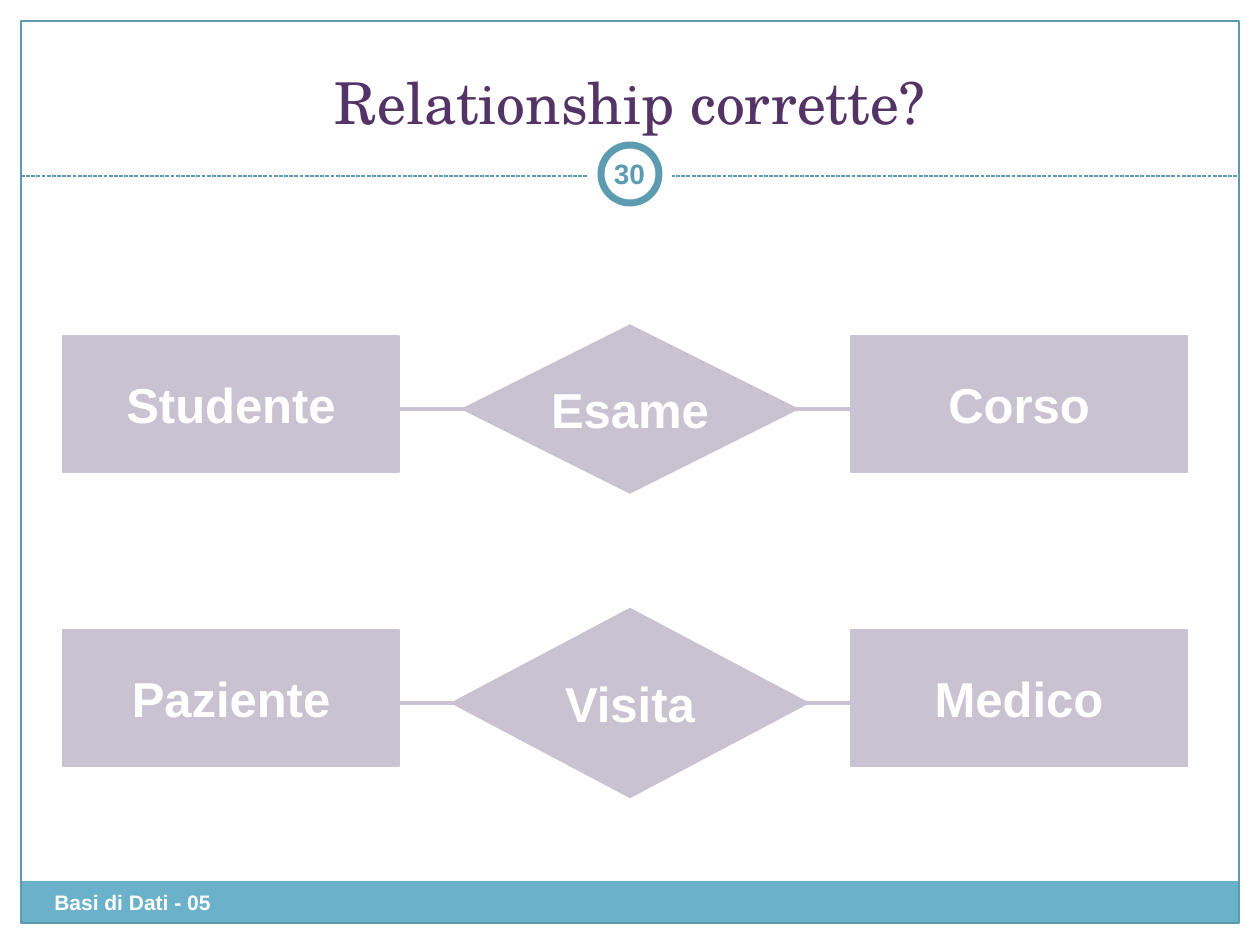
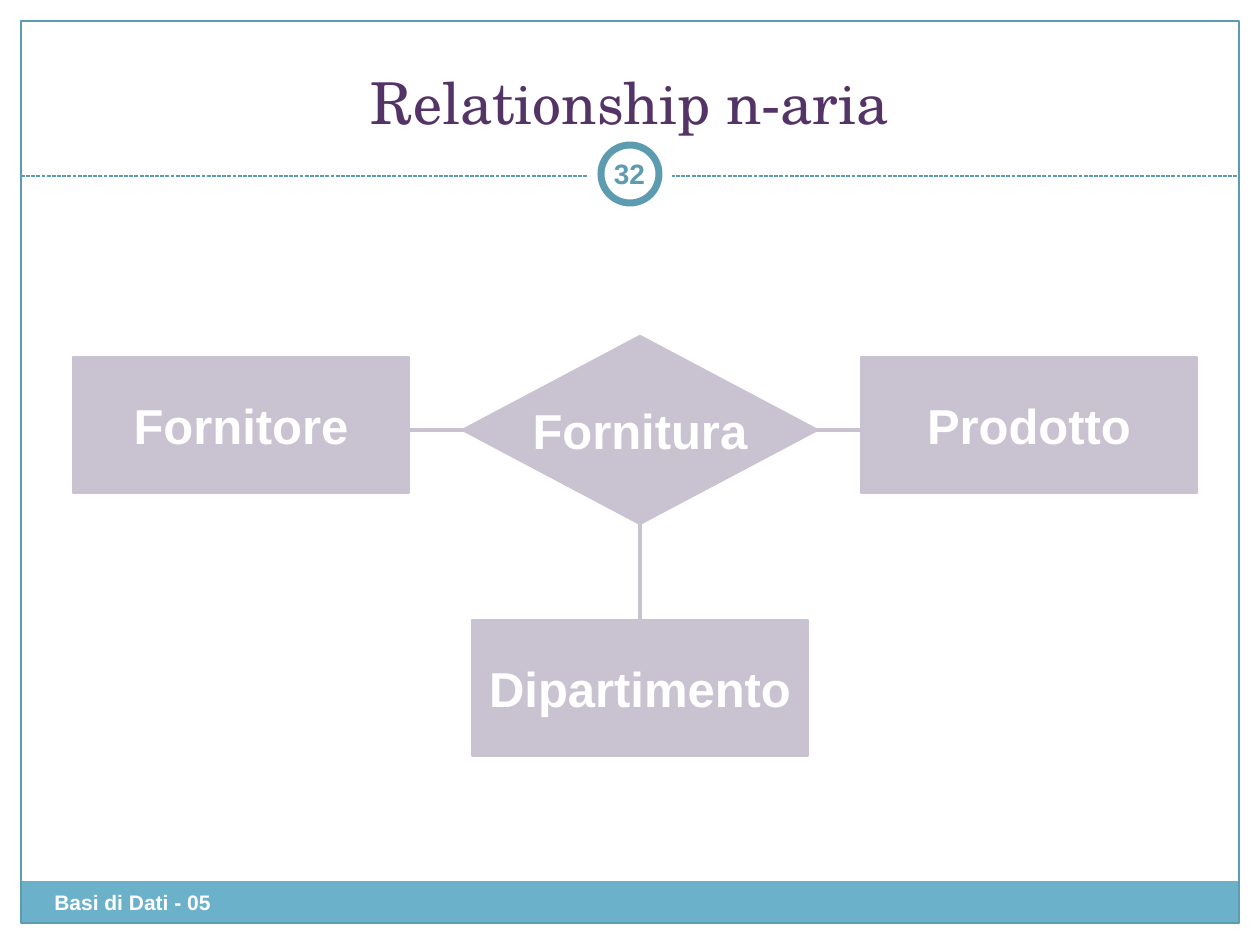
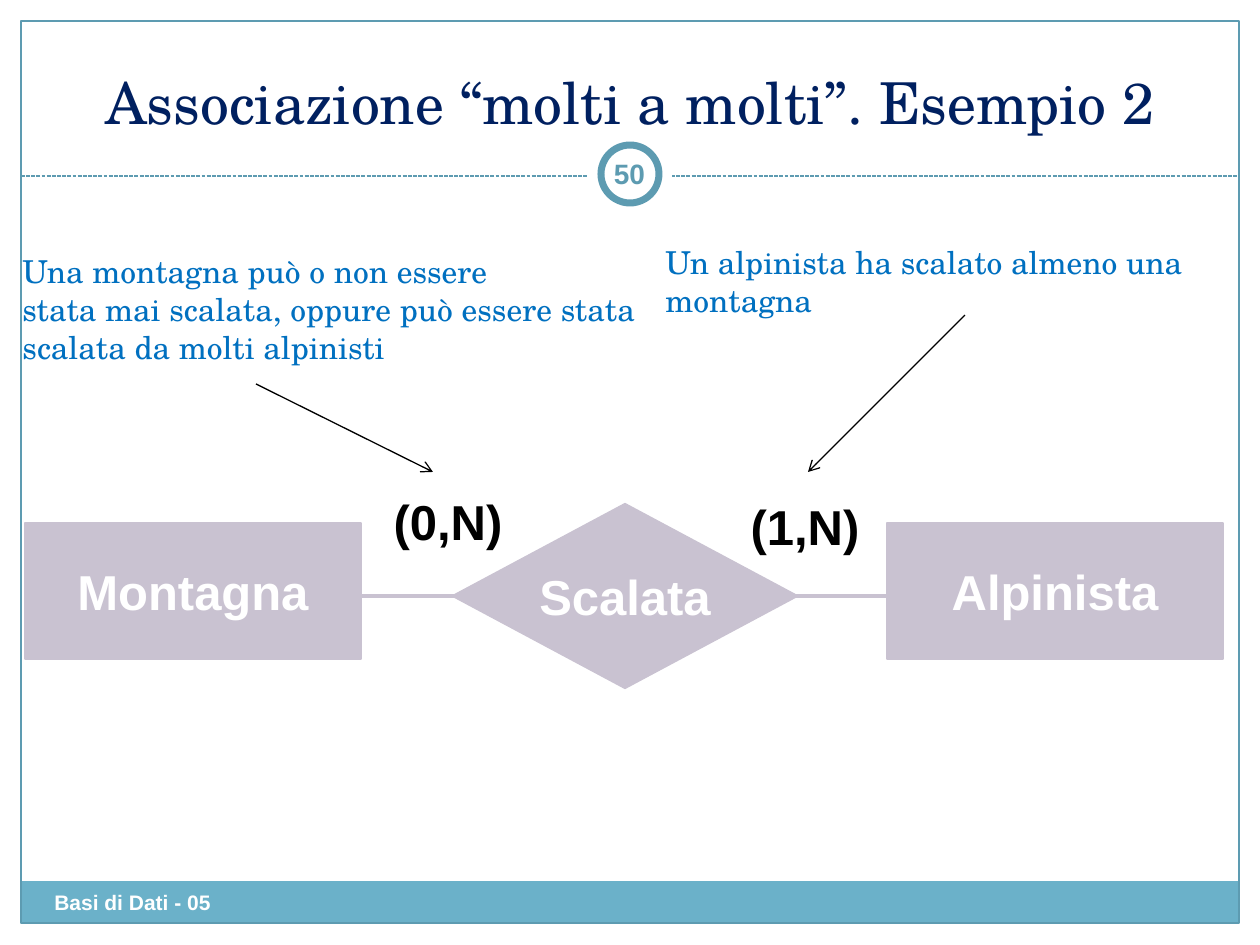
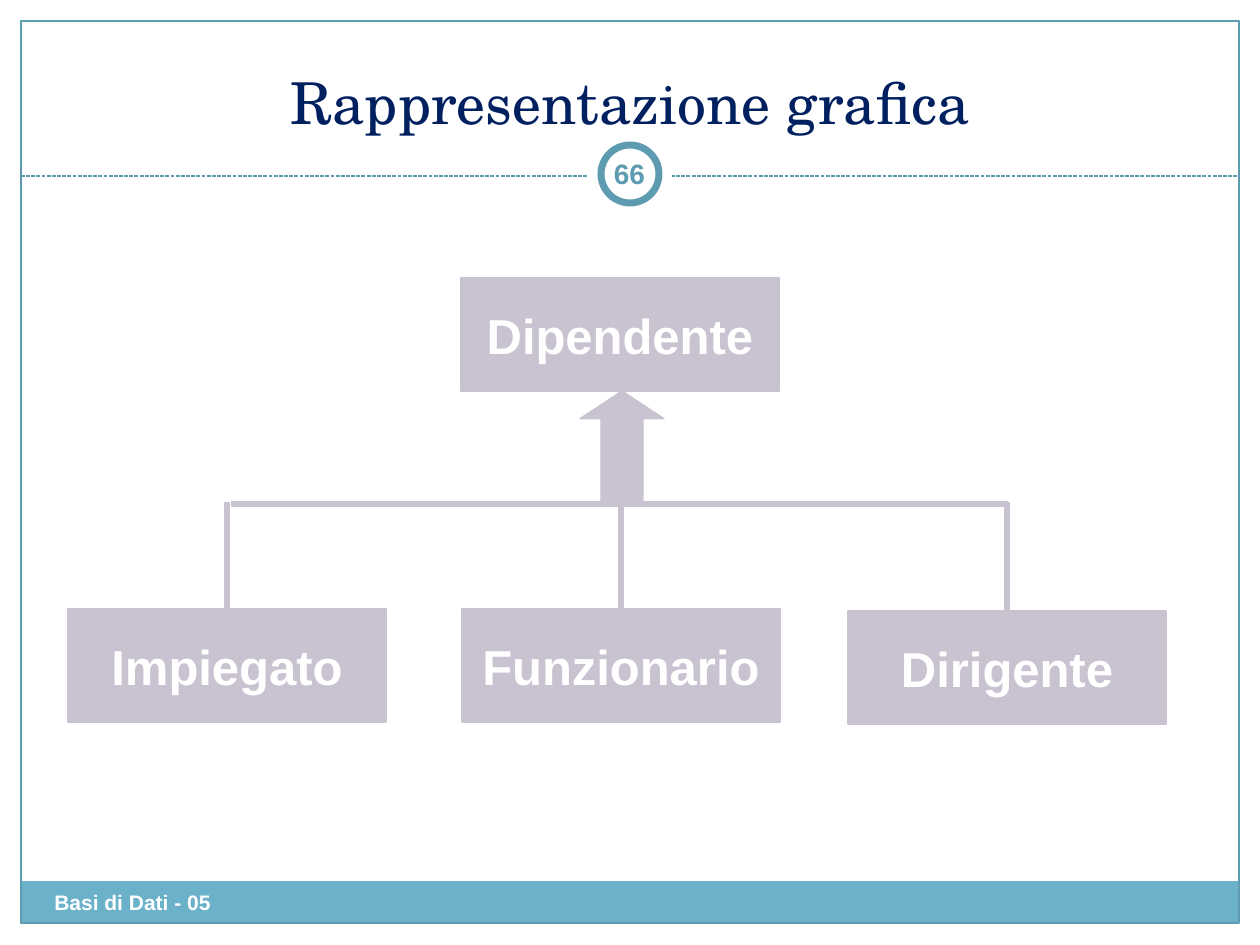
from lxml import etree
from pptx import Presentation
from pptx.dml.color import RGBColor
from pptx.enum.dml import MSO_LINE
from pptx.enum.shapes import MSO_CONNECTOR, MSO_SHAPE
from pptx.enum.text import MSO_ANCHOR, PP_ALIGN
from pptx.oxml.ns import qn
from pptx.util import Pt

RECT, OVAL = MSO_SHAPE.RECTANGLE, MSO_SHAPE.OVAL
DIAMOND, UP_ARROW = MSO_SHAPE.DIAMOND, MSO_SHAPE.UP_ARROW
STRAIGHT, DASHED = MSO_CONNECTOR.STRAIGHT, MSO_LINE.SQUARE_DOT
LEFT, CENTER = PP_ALIGN.LEFT, PP_ALIGN.CENTER
TOP, MIDDLE, BOTTOM = MSO_ANCHOR.TOP, MSO_ANCHOR.MIDDLE, MSO_ANCHOR.BOTTOM

WHITE = RGBColor(0xFF, 0xFF, 0xFF)
BLACK = RGBColor(0x00, 0x00, 0x00)
TEAL = RGBColor(0x5D, 0x9B, 0xB1)
SKY = RGBColor(0x6B, 0xB1, 0xC9)
LILAC = RGBColor(0xC9, 0xC2, 0xD1)
PURPLE = RGBColor(0x54, 0x34, 0x66)
NAVY = RGBColor(0x00, 0x20, 0x60)
BLUE = RGBColor(0x00, 0x70, 0xC0)

SANS, SERIF = "Arial", "TeX Gyre Schola"
WIDTH, HEIGHT = 1260, 945
MARGIN = 21
ENTITY_W, ENTITY_H = 336, 136
AXIS_DROP = 73
FOOTER = "Basi di Dati - 05"


def px(n):
    """Turn pixels into EMU."""
    return round(n * 914400 / 126)


def write(sp, text, size, color, font=SANS, bold=True, align=CENTER,
          anchor=MIDDLE, inset=None, wrap=False):
    """Fill a shape with text, one paragraph per line."""
    tf = sp.text_frame
    tf.text = text
    tf.word_wrap = wrap
    tf.vertical_anchor = anchor
    if inset is not None:
        tf.margin_left = tf.margin_right = px(inset)
        tf.margin_top = tf.margin_bottom = px(inset)
    for p in tf.paragraphs:
        p.alignment = align
        p.font.name, p.font.size = font, Pt(size)
        p.font.bold, p.font.color.rgb = bold, color


def text_box(s, x, y, w, h, text, size, color, **style):
    """Add a text box."""
    sp = s.shapes.add_textbox(px(x), px(y), px(w), px(h))
    write(sp, text, size, color, **style)


def shape(s, kind, x, y, w, h, fill=None, line=None, width=0.75):
    """Add a flat preset shape."""
    sp = s.shapes.add_shape(kind, px(x), px(y), px(w), px(h))
    sp.shadow.inherit = False
    if fill is None:
        sp.fill.background()
    else:
        sp.fill.solid()
        sp.fill.fore_color.rgb = fill
    if line is None:
        sp.line.fill.background()
    else:
        sp.line.color.rgb = line
        sp.line.width = Pt(width)
    return sp


def line(s, x1, y1, x2, y2, color, width, dash=None, arrow=False):
    """Add a straight line, with an open arrowhead at its end if asked."""
    cn = s.shapes.add_connector(STRAIGHT, px(x1), px(y1), px(x2), px(y2))
    cn.line.color.rgb = color
    cn.line.width = Pt(width)
    if dash is not None:
        cn.line.dash_style = dash
    if arrow:
        etree.SubElement(cn.line._get_or_add_ln(), qn("a:tailEnd"), type="arrow")
    etree.SubElement(cn._element.spPr, qn("a:effectLst"))


def node(s, kind, x, y, w, h, name):
    """Add a labelled entity or relationship."""
    write(shape(s, kind, x, y, w, h, LILAC, LILAC), name, 28, WHITE)


def base_slide(prs, title, number, title_color):
    """Add a slide with its frame, footer band, title and number badge."""
    s = prs.slides.add_slide(prs.slide_layouts[6])
    shape(s, RECT, 0, 0, WIDTH, 192, WHITE)
    for x in (0, WIDTH - MARGIN):
        shape(s, RECT, x, 0, MARGIN, HEIGHT, WHITE)
    inner_w = WIDTH - 2 * MARGIN
    shape(s, RECT, MARGIN, 881, inner_w, 43, SKY)
    shape(s, RECT, MARGIN, MARGIN, inner_w, 902, line=TEAL)
    line(s, MARGIN, 176, WIDTH - MARGIN, 176, TEAL, 0.75, dash=DASHED)
    shape(s, OVAL, 588, 132, 84, 84, WHITE)
    shape(s, OVAL, 601, 145, 58, 58, WHITE, TEAL, 4)
    text_box(s, 42, 32, 1176, 104, title, 33, title_color, font=SERIF,
             bold=False, anchor=BOTTOM, inset=0, wrap=True)
    text_box(s, 42, 883, 494, 50, FOOTER, 12, WHITE, align=LEFT, anchor=TOP,
             wrap=True)
    text_box(s, 598, 143, 63, 60, str(number), 16, TEAL, inset=6, wrap=True)
    return s


def relationship(s, x, y, w, names, center, size):
    """Draw two entities at the ends of a box, joined through a diamond."""
    first, relation, second = names
    dw, dh = size
    axis = y + AXIS_DROP
    right = x + w - ENTITY_W
    line(s, x + ENTITY_W - 42, axis, right + 21, axis, LILAC, 2.25)
    node(s, DIAMOND, center - dw / 2, axis - dh / 2, dw, dh, relation)
    node(s, RECT, x, y, ENTITY_W, ENTITY_H, first)
    node(s, RECT, right, y, ENTITY_W, ENTITY_H, second)


def third_entity(s, center, y, name):
    """Hang an entity below a diamond."""
    line(s, center, y - 106, center, y + 20, LILAC, 2.25)
    node(s, RECT, center - ENTITY_W / 2, y, ENTITY_W, ENTITY_H, name)


def cardinality(s, x, y, w, h, label):
    """Write the cardinality of one side of a relationship."""
    text_box(s, x, y, w, h, label, 28, BLACK)


def note(s, x, y, w, h, text, start, end):
    """Write a remark and point from it to a cardinality."""
    text_box(s, x, y, w, h, text, 18, BLUE, font=SERIF, bold=False,
             align=LEFT, anchor=TOP)
    line(s, x + start[0], y + start[1], x + end[0], y + end[1],
         BLACK, 0.75, arrow=True)


def hierarchy(s, x, y, parent, children):
    """Draw a parent entity with its specialisations below."""
    w, h = 318, 113
    bar = y + 226
    node(s, RECT, x + 393, y, w, h, parent)
    for dx, dy, name in children:
        top = y + 331 + dy
        node(s, RECT, x + dx, top, w, h, name)
        stem = x + dx + w / 2
        line(s, stem, bar - 2, stem, top + 6, LILAC, 3)
    line(s, x + 163, bar, x + 940, bar, LILAC, 3)
    arrow = shape(s, UP_ARROW, x + 512, y + h, 84, bar - y - h, LILAC, LILAC)
    arrow.adjustments[0] = 0.5
    arrow.adjustments[1] = 0.33


def main():
    """Build the presentation."""
    prs = Presentation()
    prs.slide_width, prs.slide_height = px(WIDTH), px(HEIGHT)

    s = base_slide(prs, "Relationship corrette?", 30, PURPLE)
    relationship(s, 63, 336, 1124, ("Studente", "Esame", "Corso"), 630, (336, 168))
    relationship(s, 63, 630, 1124, ("Paziente", "Visita", "Medico"), 630, (357, 189))

    s = base_slide(prs, "Relationship n-aria", 32, PURPLE)
    relationship(s, 73, 357, 1124, ("Fornitore", "Fornitura", "Prodotto"), 640, (357, 189))
    third_entity(s, 640, 620, "Dipartimento")

    s = base_slide(prs, "Associazione “molti a molti”. Esempio 2", 50, NAVY)
    relationship(s, 25, 523, 1198, ("Montagna", "Scalata", "Alpinista"), 625, (346, 185))
    cardinality(s, 381, 485, 134, 72, "(0,N)")
    cardinality(s, 738, 490, 134, 72, "(1,N)")
    note(s, 10, 246, 646, 126,
         "Una montagna può o non essere\n"
         "stata mai scalata, oppure può essere stata\n"
         "scalata da molti alpinisti", (246, 138), (423, 226))
    note(s, 653, 237, 559, 88,
         "Un alpinista ha scalato almeno una\nmontagna", (312, 78), (155, 235))

    s = base_slide(prs, "Rappresentazione grafica", 66, NAVY)
    hierarchy(s, 68, 278, "Dipendente",
              ((0, 0, "Impiegato"), (394, 0, "Funzionario"), (780, 2, "Dirigente")))

    prs.save("out.pptx")


if __name__ == "__main__":
    main()
